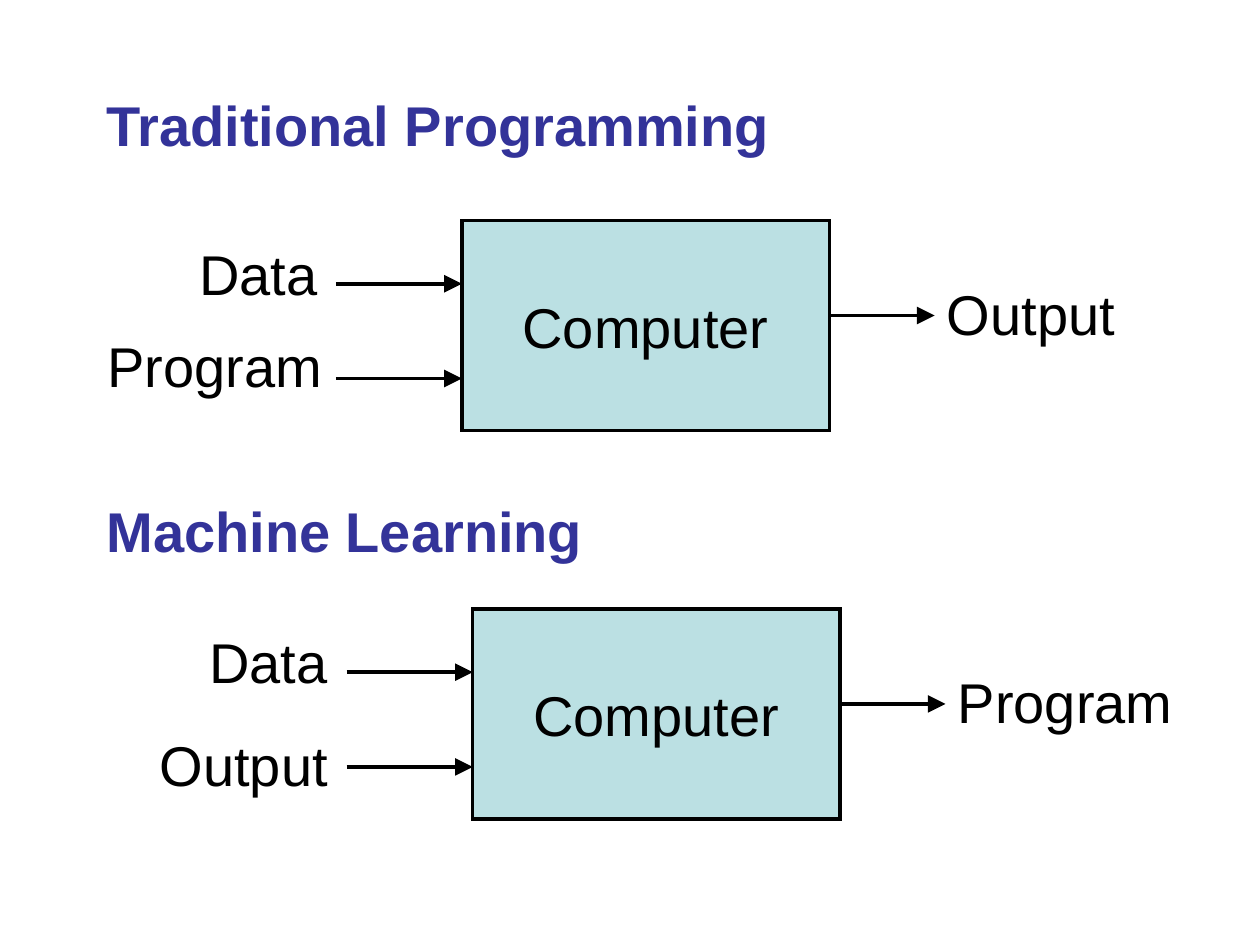
import pptx
import pptx.util
from pptx.dml.color import RGBColor
from pptx.enum.shapes import MSO_CONNECTOR, MSO_SHAPE
from pptx.enum.text import MSO_ANCHOR, MSO_AUTO_SIZE, PP_ALIGN
from pptx.oxml.ns import qn
from lxml import etree

Cm, Pt = pptx.util.Cm, pptx.util.Pt

HEADING = RGBColor(0x33, 0x33, 0x99)
BOX_FILL = RGBColor(0xBB, 0xE0, 0xE3)
BLACK = RGBColor(0, 0, 0)

# Geometry shared by both diagrams, in cm
BOX_W, BOX_H = 7.41, 4.23
INPUT_RUN, OUTPUT_RUN = 2.54, 2.12
INPUT_ARROWS = (1.27, 3.18)
OUTPUT_ARROW, OUTPUT_LABEL = 1.91, 1.06
LABEL_H = 1.63
LABEL_W = {"Data": 2.9, "Program": 4.83, "Output": 3.89}


class Diagrammer:
    """Holds the text style and the slide being drawn."""

    font, size, line_width = "Arial", Pt(32), Pt(2)

    def __init__(self, slide):
        self.slide = slide

    def style(self, paragraph, color=BLACK, bold=False):
        font = paragraph.font
        font.name, font.size, font.bold = self.font, self.size, bold
        font.color.rgb = color

    def outline(self, shape):
        shape.line.color.rgb = BLACK
        shape.line.width = self.line_width
        line = shape.line._get_or_add_ln()
        etree.SubElement(line, qn("a:miter"), lim="800000")
        return line

    def headings(self, texts, gap):
        body = self.slide.placeholders[1]
        body.left, body.top, body.width, body.height = Cm(1.27), Cm(1.69), Cm(23.06), Cm(14.4)
        frame = body.text_frame
        frame.auto_size = MSO_AUTO_SIZE.NONE
        frame.text = "\n".join(texts)
        for index, paragraph in enumerate(frame.paragraphs):
            self.style(paragraph, HEADING, True)
            paragraph.space_before = gap if index else Pt(0)
            properties = paragraph._p.get_or_add_pPr()
            properties.set("marL", str(Cm(0.62)))
            properties.set("indent", "0")
            etree.SubElement(properties, qn("a:buNone"))
            # The bullet setting must precede the default run properties
            properties.append(properties.find(qn("a:defRPr")))

    def box(self, text, left, top):
        box = self.slide.shapes.add_shape(
            MSO_SHAPE.RECTANGLE, Cm(left), Cm(top), Cm(BOX_W), Cm(BOX_H))
        box.shadow.inherit = False
        box.fill.solid()
        box.fill.fore_color.rgb = BOX_FILL
        self.outline(box)
        frame = box.text_frame
        frame.text = text
        frame.word_wrap = False
        frame.vertical_anchor = MSO_ANCHOR.MIDDLE
        frame.paragraphs[0].alignment = PP_ALIGN.CENTER
        self.style(frame.paragraphs[0])

    def label(self, text, left, top):
        label = self.slide.shapes.add_textbox(
            Cm(left), Cm(top), Cm(LABEL_W[text]), Cm(LABEL_H))
        frame = label.text_frame
        frame.text = text
        # A free right margin keeps the word on one line
        frame.margin_right = 0
        frame.word_wrap = True
        self.style(frame.paragraphs[0])

    def arrow(self, left, y, length):
        arrow = self.slide.shapes.add_connector(
            MSO_CONNECTOR.STRAIGHT, Cm(left), Cm(y), Cm(left + length), Cm(y))
        line = self.outline(arrow)
        etree.SubElement(line, qn("a:tailEnd"), type="triangle", w="lg", len="lg")
        etree.SubElement(arrow._element.spPr, qn("a:effectLst"))

    def diagram(self, left, top, inputs, output):
        """Draw a computer; each input is (text, drop below box top, gap to box)."""
        right = left + BOX_W
        self.box("Computer", left, top)
        for drop in INPUT_ARROWS:
            self.arrow(left - INPUT_RUN, top + drop, INPUT_RUN)
        self.arrow(right, top + OUTPUT_ARROW, OUTPUT_RUN)
        for text, drop, gap in inputs:
            self.label(text, left - gap - LABEL_W[text], top + drop)
        self.label(output, right + OUTPUT_RUN, top + OUTPUT_LABEL)


def main():
    presentation = pptx.Presentation()
    presentation.slide_width, presentation.slide_height = Cm(25.4), Cm(19.05)
    slide = presentation.slides.add_slide(presentation.slide_layouts[1])
    title = slide.shapes.title._element
    title.getparent().remove(title)

    drawing = Diagrammer(slide)
    drawing.headings(["Traditional Programming", "Machine Learning"], Pt(194))

    # Traditional programming: data and program give output
    drawing.diagram(9.31, 4.45, [("Data", 0.25, 2.64), ("Program", 2.11, 2.56)], "Output")

    # Machine learning: data and output give a program
    drawing.diagram(9.53, 12.28, [("Data", 0.25, 2.66), ("Output", 2.33, 2.67)], "Program")

    presentation.save("out.pptx")


if __name__ == "__main__":
    main()
